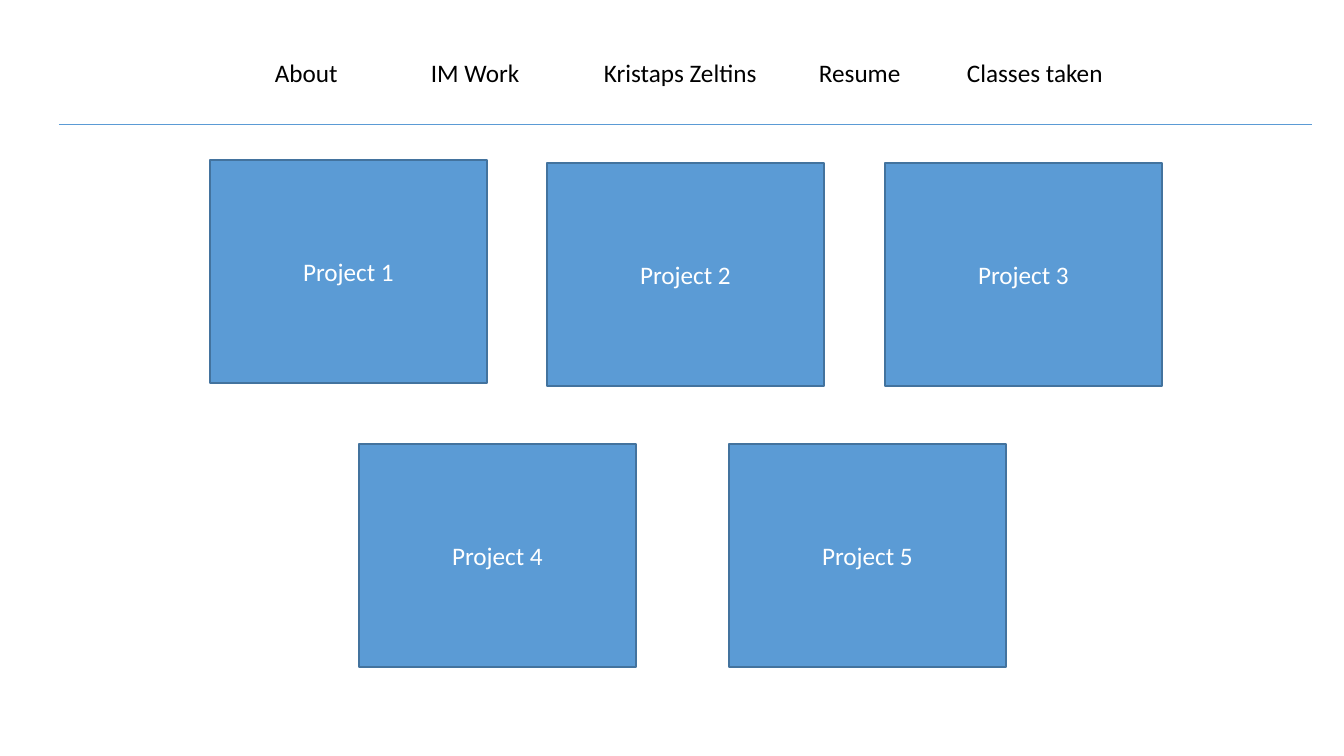
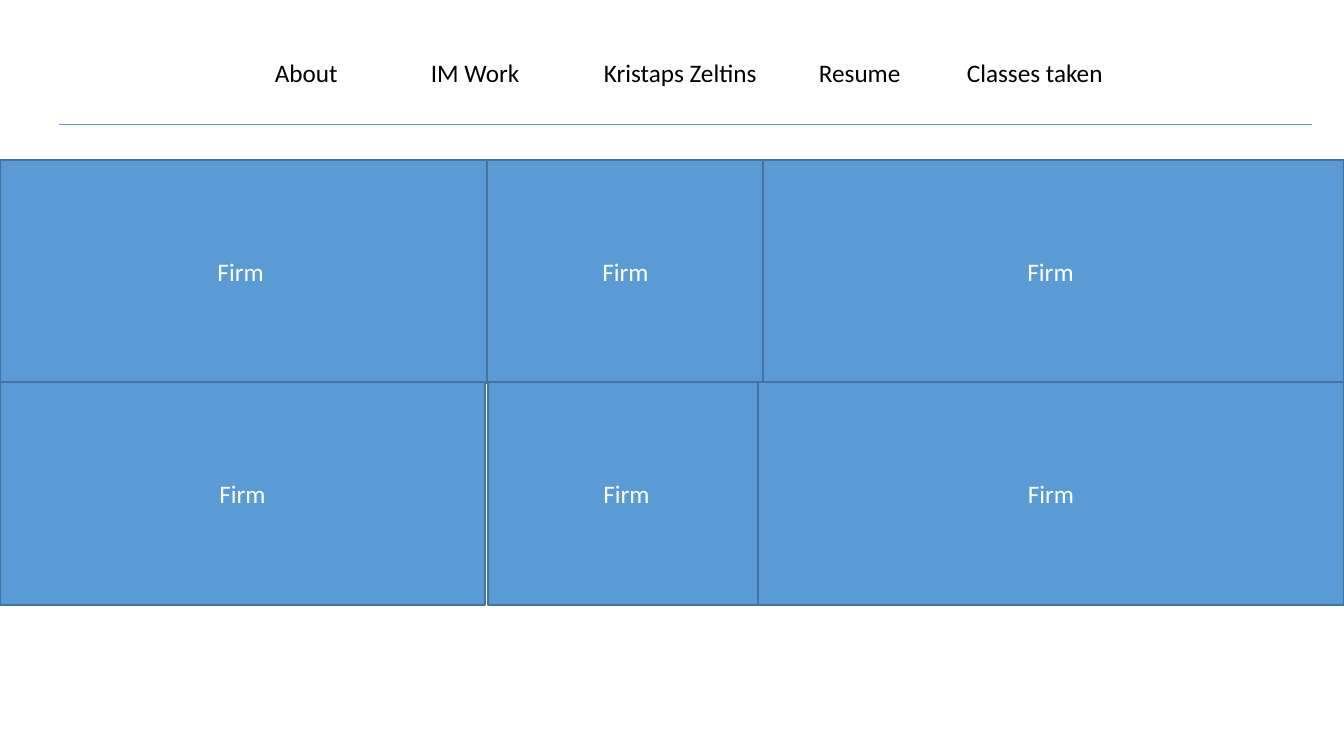
from pptx import Presentation
from pptx import util as u
from pptx.dml.color import RGBColor
from pptx.enum import shapes, text
from pptx.oxml.ns import qn
from lxml import etree

SCALE = 914400 / 100.8
PAGE_W, PAGE_H = 1344, 756

BLUE = RGBColor(0x5B, 0x9B, 0xD5)
EDGE = RGBColor(0x43, 0x73, 0x9E)
BLACK = RGBColor(0, 0, 0)
WHITE = RGBColor(255, 255, 255)
FONT, SIZE = "Calibri", 18

NAV_TOP, NAV_H = 52, 40
NAV = [  # label, left, width
    ("Kristaps Zeltins", 594, 184),
    ("About", 265, 95),
    ("IM Work", 421, 160),
    ("Resume", 809, 116),
    ("Classes taken", 957, 190),
]
RULE_LEFT, RULE_RIGHT, RULE_Y = 59, 1312, 124

TILE_W, TILE_H = 277, 223
PROJECTS = [(210, 160), (547, 163), (885, 163), (359, 444), (729, 444)]
FIRM_ROWS = [  # top, then (label, left, width) across the page
    (160, [("Firm ", 0, 487), ("Firm", 487, TILE_W), ("Firm ", 763, 581)]),
    (382, [("Firm", 0, 485), ("Firm", 488, TILE_W), ("Firm", 758, 586)]),
]


def px(*lengths):
    """Turn pixels into a list of EMU lengths."""
    return [u.Emu(round(length * SCALE)) for length in lengths]


def write(shape, words, color, align):
    """Put one run of text into a shape."""
    para = shape.text_frame.paragraphs[0]
    para.alignment = align
    span = para.add_run()
    span.text = words
    span.font.name = FONT
    span.font.size = u.Pt(SIZE)
    span.font.color.rgb = color


def add_label(page, words, left, width):
    """Add one navigation label."""
    box = page.shapes.add_textbox(*px(left, NAV_TOP, width, NAV_H))
    box.text_frame.word_wrap = True
    box.text_frame.auto_size = text.MSO_AUTO_SIZE.SHAPE_TO_FIT_TEXT
    write(box, words, BLACK, text.PP_ALIGN.LEFT)


def add_rule(page):
    """Add the thin line below the navigation."""
    rule = page.shapes.add_connector(
        shapes.MSO_CONNECTOR.STRAIGHT,
        *px(RULE_LEFT, RULE_Y, RULE_RIGHT, RULE_Y))
    rule.line.color.rgb = BLUE
    rule.line.width = u.Pt(0.5)
    etree.SubElement(rule._element.spPr, qn("a:effectLst"))


def add_tile(page, words, left, top, width=TILE_W):
    """Add a blue tile with a centred caption."""
    tile = page.shapes.add_shape(
        shapes.MSO_SHAPE.RECTANGLE, *px(left, top, width, TILE_H))
    tile.shadow.inherit = False
    tile.fill.solid()
    tile.fill.fore_color.rgb = BLUE
    tile.line.color.rgb = EDGE
    tile.line.width = u.Pt(1)
    tile.text_frame.word_wrap = True
    tile.text_frame.vertical_anchor = text.MSO_ANCHOR.MIDDLE
    write(tile, words, WHITE, text.PP_ALIGN.CENTER)


def add_page(deck):
    """Add a blank slide with the shared navigation header."""
    page = deck.slides.add_slide(deck.slide_layouts[6])
    add_rule(page)
    for words, left, width in NAV:
        add_label(page, words, left, width)
    return page


def main():
    """Build the projects page and the firms page."""
    deck = Presentation()
    deck.slide_width, deck.slide_height = px(PAGE_W, PAGE_H)

    projects = add_page(deck)
    for number, (left, top) in enumerate(PROJECTS, 1):
        add_tile(projects, f"Project {number}", left, top)

    firms = add_page(deck)
    for top, row in FIRM_ROWS:
        for words, left, width in row:
            add_tile(firms, words, left, top, width)

    deck.save("out.pptx")


main()
